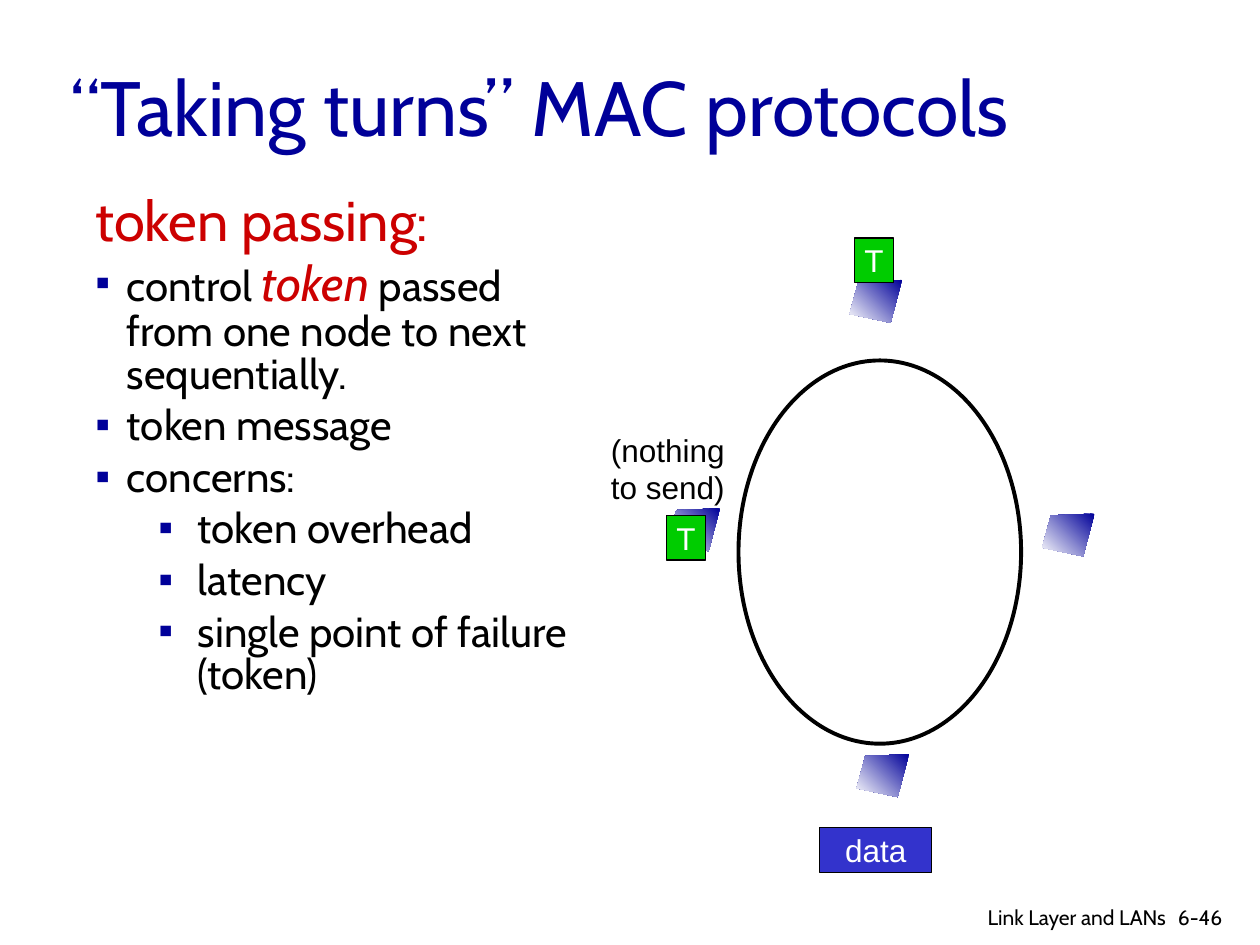
from lxml.etree import SubElement
from pptx import Presentation
from pptx.dml.color import RGBColor
from pptx.enum.shapes import MSO_SHAPE as Shape
from pptx.enum.text import MSO_ANCHOR as Anchor, MSO_AUTO_SIZE as AutoSize, PP_ALIGN as Align
from pptx.oxml.ns import qn
from pptx.util import Pt

COLORS = {"navy": "000099", "red": "CC0000", "black": "000000", "white": "FFFFFF",
          "green": "00CC00", "blue": "3333CC"}


class SlideBuilder:
    """Draw styled elements on one slide, with lengths in points."""

    def __init__(self, page):
        self.page = page
        self.text_font = "Cabin"
        self.label_font = "Arial"

    def color(self, name):
        return RGBColor.from_string(COLORS[name])

    def style(self, font, size, color, name):
        font.size = Pt(size)
        font.name = name
        font.color.rgb = self.color(color)

    def text(self, left, top, width, height, text, size, color="black", font=None,
             align=Align.LEFT, anchor=Anchor.TOP, wrap=True):
        box = self.page.shapes.add_textbox(Pt(left), Pt(top), Pt(width), Pt(height))
        self.fill_text(box.text_frame, text, size, color, font or self.text_font, align, anchor, wrap)
        return box.text_frame

    def fill_text(self, frame, text, size, color, font, align, anchor, wrap):
        frame.text = text
        frame.word_wrap = wrap
        frame.vertical_anchor = anchor
        for para in frame.paragraphs:
            para.alignment = align
            for span in para.runs:
                self.style(span.font, size, color, font)

    def bullet(self, frame, spans, level=0):
        para = frame.add_paragraph()
        para.level = level
        props = para._p.get_or_add_pPr()
        margin, hanging = ((18, 18), (58.5, 22.5))[level]
        props.set("marL", str(Pt(margin)))
        props.set("indent", str(-Pt(hanging)))
        bullet_color = SubElement(props, qn("a:buClr"))
        SubElement(bullet_color, qn("a:srgbClr"), val=COLORS["navy"])
        SubElement(props, qn("a:buFont"), typeface=self.label_font)
        SubElement(props, qn("a:buChar"), char="▪")
        para.line_spacing = 0.85
        para.space_before = Pt(5)
        for text, size, color, italic in spans:
            span = para.add_run()
            span.text = text
            self.style(span.font, size, color, self.text_font)
            span.font.italic = italic

    def node(self, left, top):
        outline = [(30, 0), (5, 1), (0, 19.5), (23.5, 24.5)]
        points = [(Pt(left + x), Pt(top + y)) for x, y in outline]
        builder = self.page.shapes.build_freeform(*points[0])
        builder.add_line_segments(points[1:], close=True)
        node = builder.convert_to_shape()
        node.shadow.inherit = False
        node.line.fill.background()
        node.fill.gradient()
        node.fill.gradient_angle = 225
        for stop, name in zip(node.fill.gradient_stops, ("navy", "white")):
            stop.color.rgb = self.color(name)

    def shape(self, kind, left, top, width, height, line_width, fill=None):
        shape = self.page.shapes.add_shape(kind, Pt(left), Pt(top), Pt(width), Pt(height))
        shape.shadow.inherit = False
        shape.line.color.rgb = self.color("black")
        shape.line.width = Pt(line_width)
        if fill:
            shape.fill.solid()
            shape.fill.fore_color.rgb = self.color(fill)
        else:
            shape.fill.background()
        return shape

    def packet(self, left, top, width, text, fill):
        packet = self.shape(Shape.RECTANGLE, left, top, width, 25.5, 0.75, fill)
        self.fill_text(packet.text_frame, text, 18, "white", self.label_font,
                       Align.CENTER, Anchor.MIDDLE, False)


def main():
    deck = Presentation()
    deck.slide_width, deck.slide_height = Pt(720), Pt(540)
    slide = SlideBuilder(deck.slides.add_slide(deck.slide_layouts[6]))

    for left, top in [(595.5, 293.5), (381.5, 290.5), (485.5, 160), (489.5, 431)]:
        slide.node(left, top)

    body = slide.text(47.5, 108.5, 296, 366, "token passing:", 32, "red")
    body.paragraphs[0].line_spacing = 0.85
    slide.bullet(body, [("control ", 24, "black", False), ("token", 28, "red", True),
                        (" passed from one node to next sequentially.", 24, "black", False)])
    for level, text in [(0, "token message"), (0, "concerns:"), (1, "token overhead"),
                        (1, "latency"), (1, "single point of failure (token)")]:
        slide.bullet(body, [(text, 24, "black", False)], level)

    slide.shape(Shape.OVAL, 422, 206, 161.5, 219, 2.25)
    slide.packet(488.5, 136, 22, "T", "green")
    slide.packet(468.5, 473, 64, "data", "blue")
    label = slide.text(342, 242.5, 80, 50.5, "(nothing\nto send)", 18,
                       font=slide.label_font, wrap=False)
    label.auto_size = AutoSize.SHAPE_TO_FIT_TEXT
    slide.packet(381, 294.5, 22, "T", "green")

    slide.text(33, 15.5, 612, 90, "“Taking turns” MAC protocols", 44, "navy", anchor=Anchor.MIDDLE)
    slide.text(666, 513.5, 43, 21.5, "6-46", 12)
    slide.text(502, 513.5, 171.5, 19, "Link Layer and LANs", 12, align=Align.RIGHT)
    deck.save("out.pptx")


if __name__ == "__main__":
    main()
